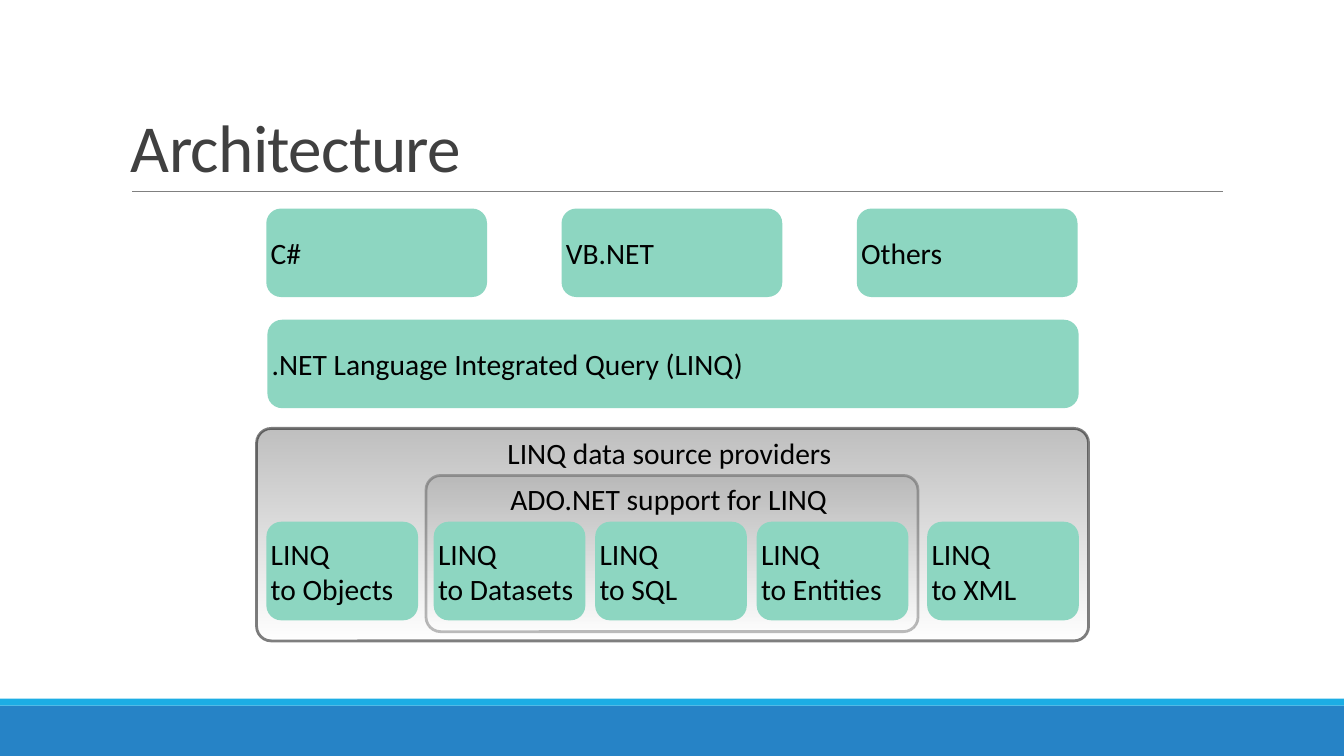
import pptx
import pptx.util
import pptx.dml.color
import pptx.enum.shapes
import pptx.enum.text
import pptx.oxml.ns
from lxml import etree

Pt = pptx.util.Pt
SHAPES = pptx.enum.shapes.MSO_SHAPE
ANCHOR = pptx.enum.text.MSO_ANCHOR
ALIGN = pptx.enum.text.PP_ALIGN

SLIDE_WIDTH, SLIDE_HEIGHT = 960, 540
FONT = "Calibri"
LABEL_SIZE = 21.1
COLORS = {
    "footer": "2683C6",
    "accent": "1CADE4",
    "rule": "808080",
    "title": "404040",
    "tile": "8DD6C1",
    "text": "000000",
    "frame_line": "000000",
    "frame_top": "808080",
    "frame_bottom": "FFFFFF",
}


def rgb(name):
    return pptx.dml.color.RGBColor.from_string(COLORS[name])


def write_text(shape, text, size, color, anchor, inset=None, align=ALIGN.LEFT):
    frame = shape.text_frame
    frame.vertical_anchor = anchor
    if inset is not None:
        frame.margin_left = frame.margin_right = Pt(inset)
        frame.margin_top = frame.margin_bottom = Pt(inset)
    frame.text = text
    paragraph = frame.paragraphs[0]
    paragraph.alignment = align
    for run in paragraph.runs:
        run.font.name = FONT
        run.font.size = Pt(size)
        run.font.color.rgb = rgb(color)
    return paragraph


def add_block(slide, kind, box, color):
    shape = slide.shapes.add_shape(kind, *map(Pt, box))
    shape.shadow.inherit = False
    shape.fill.solid()
    shape.fill.fore_color.rgb = rgb(color)
    shape.line.fill.background()
    return shape


def add_tile(slide, text, box, corner=0.167):
    tile = add_block(slide, SHAPES.ROUNDED_RECTANGLE, box, "tile")
    tile.adjustments[0] = corner
    tile.text_frame.word_wrap = True
    write_text(tile, text, LABEL_SIZE, "text", ANCHOR.MIDDLE, 0)


def add_frame(slide, box, corner, opacity):
    """Draw a translucent grey group frame that fades to white downwards."""
    frame = slide.shapes.add_shape(SHAPES.ROUNDED_RECTANGLE, *map(Pt, box))
    frame.shadow.inherit = False
    frame.adjustments[0] = corner
    frame.fill.gradient()
    frame.fill.gradient_angle = 270
    for stop, color in zip(frame.fill.gradient_stops, ("frame_top", "frame_bottom")):
        stop.color.rgb = rgb(color)
    frame.line.width = Pt(2)
    frame.line.color.rgb = rgb("frame_line")
    for color in frame.element.spPr.iter(pptx.oxml.ns.qn("a:srgbClr")):
        alpha = etree.SubElement(color, pptx.oxml.ns.qn("a:alpha"))
        alpha.set("val", str(opacity * 1000))


def add_frame_label(slide, text, box):
    label = slide.shapes.add_textbox(*map(Pt, box))
    label.text_frame.word_wrap = False
    write_text(label, text, LABEL_SIZE, "text", ANCHOR.MIDDLE, 0, ALIGN.CENTER)


def add_footer(slide, left, top, width, height):
    add_block(slide, SHAPES.RECTANGLE, (left, top, width, height), "footer")
    add_block(slide, SHAPES.RECTANGLE, (left, top - 5, width, 5), "accent")


def add_title(slide, text, left, top, width, height):
    rule_top = top + height
    rule = slide.shapes.add_connector(
        pptx.enum.shapes.MSO_CONNECTOR.STRAIGHT,
        Pt(left + 8), Pt(rule_top), Pt(left + width - 5), Pt(rule_top))
    rule.line.color.rgb = rgb("rule")
    rule.line.width = Pt(0.5)
    etree.SubElement(rule.element.spPr, pptx.oxml.ns.qn("a:effectLst"))

    title = slide.shapes.add_textbox(Pt(left), Pt(top), Pt(width), Pt(height))
    title.text_frame.word_wrap = True
    paragraph = write_text(title, text, 48, "title", ANCHOR.BOTTOM)
    paragraph.line_spacing = 0.85
    for run in paragraph.runs:
        run.font._element.set("spc", "-50")


def add_languages(slide, left, top, width, height):
    languages = ("C#", "VB.NET", "Others")
    tile_width = 157.7
    pitch = (width - tile_width) / (len(languages) - 1)
    for index, language in enumerate(languages):
        add_tile(slide, language, (left + index * pitch, top, tile_width, height))


def add_providers(slide, left, top, width, height):
    """Draw the provider frame, the ADO.NET frame inside it and their tiles."""
    tile_width, tile_height, margin = 108.3, 70.4, 7
    ado_left, ado_width = left + 121, 351.5
    add_frame(slide, (left, top, width, height), 0.069, 50)
    add_frame(slide, (ado_left, top + 33.6, ado_width, 111.6), 0.094, 25)

    ado_sources = ("Datasets", "SQL", "Entities")
    ado_pitch = (ado_width - 12.5 - tile_width) / (len(ado_sources) - 1)
    positions = {"Objects": left + margin}
    for index, source in enumerate(ado_sources):
        positions[source] = ado_left + 5.5 + index * ado_pitch
    positions["XML"] = left + width - margin - tile_width
    for source, tile_left in positions.items():
        add_tile(slide, f"LINQ\vto {source}",
                 (tile_left, top + 66.7, tile_width, tile_height), 0.15)

    add_frame_label(slide, "LINQ data source providers", (left + 178, top + 4.5, 234, 25.3))
    add_frame_label(slide, "ADO.NET support for LINQ", (left + 180, top + 37.5, 229, 25.3))


def main():
    presentation = pptx.Presentation()
    presentation.slide_width = Pt(SLIDE_WIDTH)
    presentation.slide_height = Pt(SLIDE_HEIGHT)
    slide = presentation.slides.add_slide(presentation.slide_layouts[6])
    add_footer(slide, 0, 504, SLIDE_WIDTH, 36)
    add_title(slide, "Architecture", 86.4, 22.5, 792, 114)
    add_languages(slide, 190.2, 149, 579.5, 63.2)
    add_tile(slide, ".NET Language Integrated Query (LINQ)", (191, 228.4, 579.5, 63.2))
    add_providers(slide, 183.3, 306, 594.3, 151.8)
    presentation.save("out.pptx")


if __name__ == "__main__":
    main()
